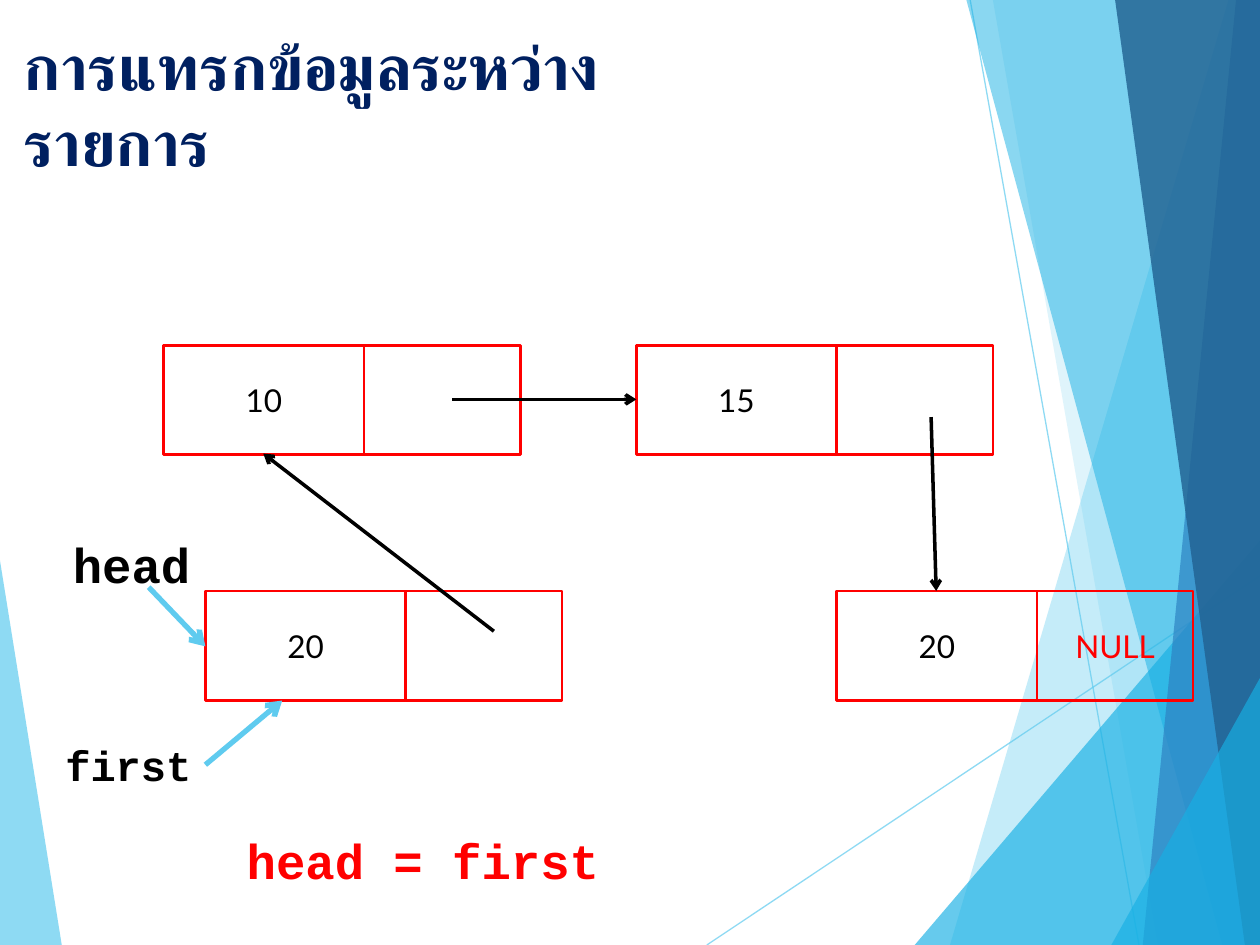
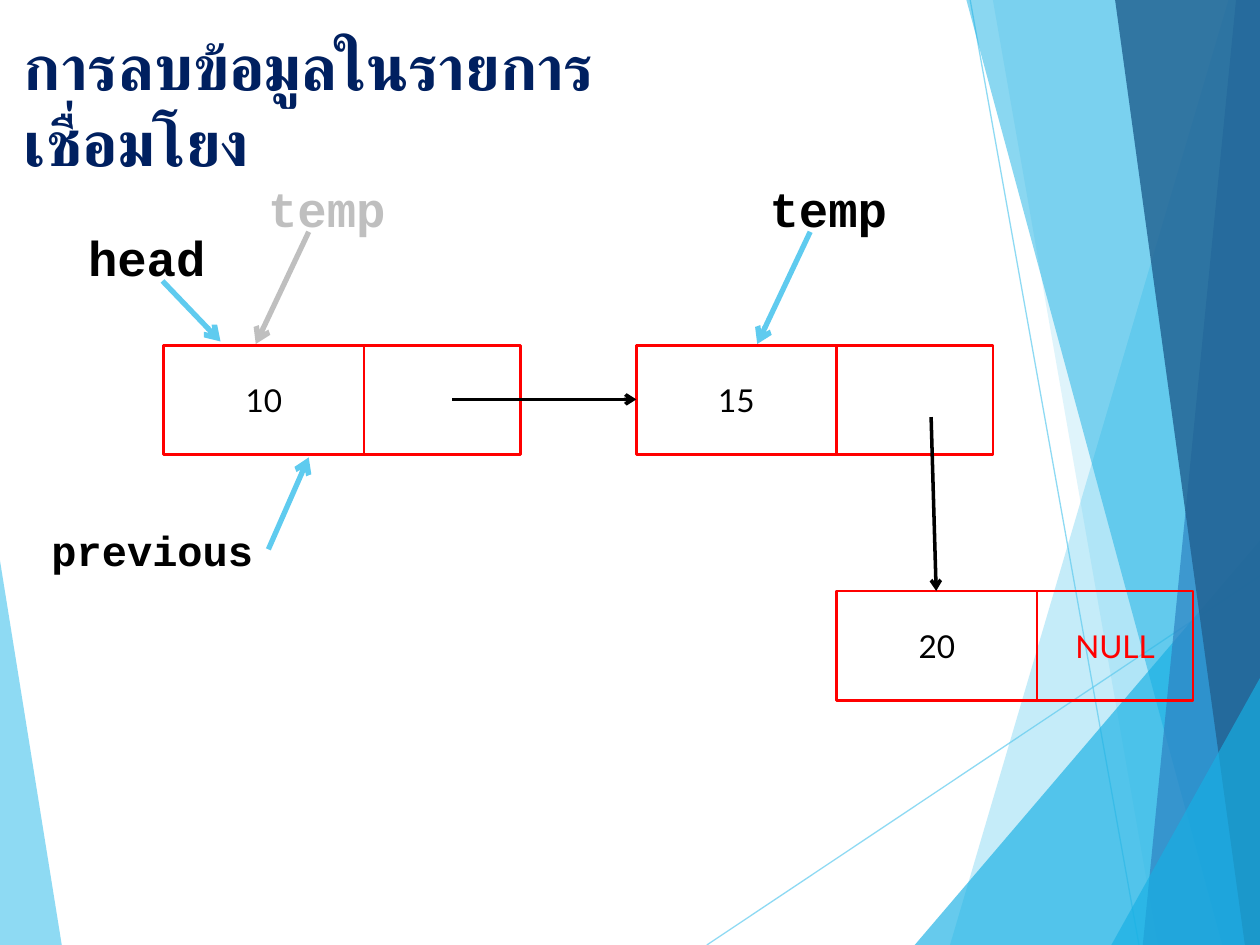
"""Two slides on inserting into and deleting from a linked list."""
from lxml import etree
from pptx import Presentation
from pptx.dml.color import RGBColor
from pptx.enum import shapes, text
from pptx.oxml.ns import qn
from pptx.util import Inches, Pt

SKY = RGBColor(0x5F, 0xCB, 0xEF)
CYAN = RGBColor(0x17, 0xB0, 0xE4)
BLUE = RGBColor(0x2E, 0x83, 0xC3)
DEEP = RGBColor(0x22, 0x62, 0x92)
NAVY = RGBColor(0x00, 0x20, 0x60)
RED = RGBColor(0xFF, 0x00, 0x00)
BLACK = RGBColor(0x00, 0x00, 0x00)
GREY = RGBColor(0xBF, 0xBF, 0xBF)

DATA_WIDTH, LINK_WIDTH, NODE_HEIGHT = 1.59, 1.24, 0.87
UPPER, LOWER = 2.74, 4.69

RAYS = [((5.61, 7.5), (10, 4.57)), ((7.7, 0), (9.04, 7.5))]
FACETS = [
    (SKY, 70, [(0, 4.45), (0.49, 7.5), (0, 7.5)]),
    (SKY, 36, [(9.75, 0), (7.54, 7.5), (10, 7.5), (10, 0)]),
    (SKY, 20, [(7.88, 0), (9.19, 7.5), (10, 7.5), (10, 0)]),
    (CYAN, 66, [(7.26, 7.5), (10, 4.29), (10, 7.5)]),
    (CYAN, 50, [(7.67, 0), (9.7, 7.5), (10, 7.5), (10, 0)]),
    (BLUE, 70, [(9.81, 0), (9.07, 7.5), (10, 7.5), (10, 0)]),
    (DEEP, 82, [(8.85, 0), (9.88, 7.5), (10, 7.5), (10, 0)]),
    (CYAN, 66, [(8.82, 7.5), (10, 5.38), (10, 7.5)]),
]

COMMON_NODES = [(1.3, UPPER, "10", ""), (5.05, UPPER, "15", ""), (6.64, LOWER, "20", "NULL")]
COMMON_LINKS = [((3.59, 3.17), (5.05, 3.17), BLACK, 2), ((7.39, 3.31), (7.43, 4.69), BLACK, 2)]

LESSONS = [
    {
        "title": "การแทรกข้อมูลระหว่างรายการ",
        "nodes": [(1.63, LOWER, "20", "")],
        "pointers": [
            ((3.92, 5.01), (2.09, 3.6), BLACK, 2),
            ((1.18, 4.66), (1.63, 5.13), SKY, 3),
            ((1.63, 6.07), (2.24, 5.56), SKY, 3),
        ],
        "labels": [
            ("head", 0.48, 4.19, 1.38, 28, BLACK),
            ("first", 0.42, 5.82, 1.21, 24, BLACK),
            ("head = first", 1.86, 6.54, 3.02, 28, RED),
        ],
    },
    {
        "title": "การลบข้อมูลในรายการเชื่อมโยง",
        "nodes": [],
        "pointers": [
            ((1.29, 2.23), (1.75, 2.71), SKY, 3),
            ((2.13, 4.36), (2.45, 3.63), SKY, 3),
            ((6.43, 1.84), (6.01, 2.73), SKY, 3),
            ((2.45, 1.84), (2.03, 2.73), GREY, 3),
        ],
        "labels": [
            ("head", 0.6, 1.76, 1.38, 28, BLACK),
            ("previous", 0.31, 4.11, 1.81, 24, BLACK),
            ("temp", 6.01, 1.37, 1.38, 28, BLACK),
            ("temp", 2.03, 1.37, 1.38, 28, GREY),
        ],
    },
]


def add_line(slide, start, end, color, width):
    line = slide.shapes.add_connector(
        shapes.MSO_CONNECTOR.STRAIGHT, *[Inches(v) for v in (*start, *end)])
    line.line.color.rgb = color
    line.line.width = Pt(width)
    etree.SubElement(line.element.spPr, qn("a:effectLst"))
    return line


def style_text(frame, content, font, size, color, bold=False):
    frame.text = content
    for run in frame.paragraphs[0].runs:
        run.font.name = font
        run.font.size = Pt(size)
        run.font.bold = bold
        run.font.color.rgb = color


deck = Presentation()
deck.slide_width, deck.slide_height = Inches(10), Inches(7.5)
layout = deck.slide_layouts.get_by_name("Title Only")
for placeholder in list(layout.placeholders):
    if placeholder.placeholder_format.idx >= 10:
        layout.shapes.element.remove(placeholder.element)

pages = [deck.slides.add_slide(layout) for lesson in LESSONS]

facets = []
for color, opacity, corners in FACETS:
    points = [(Inches(x), Inches(y)) for x, y in corners]
    outline = pages[0].shapes.build_freeform(*points[0])
    outline.add_line_segments(points[1:], close=True)
    facet = outline.convert_to_shape()
    facet.shadow.inherit = False
    facet.fill.solid()
    facet.fill.fore_color.rgb = color
    facet.line.fill.background()
    facets.append((facet, opacity))
rays = [(add_line(pages[0], start, end, SKY, 0.75), 70) for start, end in RAYS]

for part, opacity in facets[:1] + rays + facets[1:]:
    tint = next(part.element.spPr.iter(qn("a:srgbClr")))
    etree.SubElement(tint, qn("a:alpha"), val=str(opacity * 1000))
    layout.shapes.element.append(part.element)

for slide, lesson in zip(pages, LESSONS):
    title = slide.shapes.title
    title.left, title.top, title.width, title.height = [Inches(v) for v in (0.09, 0.17, 5.6, 0.79)]
    style_text(title.text_frame, lesson["title"], "Calibri", 36, NAVY, bold=True)
    title.text_frame.vertical_anchor = text.MSO_ANCHOR.TOP
    title.text_frame.auto_size = text.MSO_AUTO_SIZE.NONE
    title.text_frame.paragraphs[0].alignment = text.PP_ALIGN.LEFT

    for left, top, value, link in COMMON_NODES + lesson["nodes"]:
        for x, width, content, color in [
            (left, DATA_WIDTH, value, BLACK),
            (left + DATA_WIDTH, LINK_WIDTH, link, RED),
        ]:
            cell = slide.shapes.add_shape(
                shapes.MSO_SHAPE.RECTANGLE,
                Inches(x), Inches(top), Inches(width), Inches(NODE_HEIGHT))
            cell.shadow.inherit = False
            cell.fill.background()
            cell.line.color.rgb = RED
            cell.line.width = Pt(1.5)
            style_text(cell.text_frame, content, "Lato", 18, color)
            cell.text_frame.vertical_anchor = text.MSO_ANCHOR.MIDDLE
            cell.text_frame.paragraphs[0].alignment = text.PP_ALIGN.CENTER

    for start, end, color, width in COMMON_LINKS + lesson["pointers"]:
        pointer = add_line(slide, start, end, color, width)
        etree.SubElement(pointer.line._get_or_add_ln(), qn("a:tailEnd"), type="arrow")

    for content, left, top, width, size, color in lesson["labels"]:
        label = slide.shapes.add_textbox(
            Inches(left), Inches(top), Inches(width), Inches(size * 0.02))
        style_text(label.text_frame, content, "Courier New", size, color, bold=True)
        label.text_frame.word_wrap = False
        label.text_frame.auto_size = text.MSO_AUTO_SIZE.SHAPE_TO_FIT_TEXT

deck.save("out.pptx")
